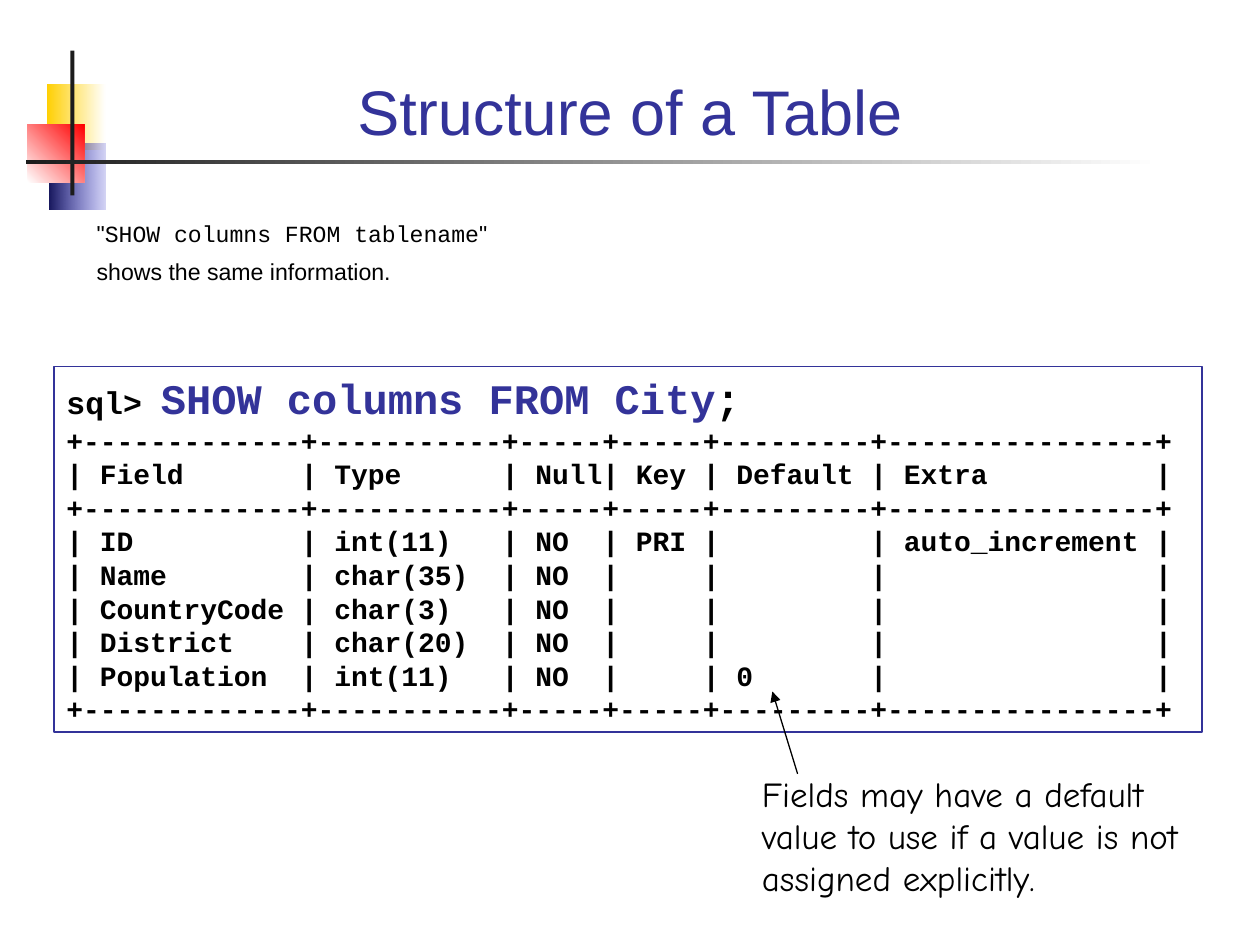
"""Build the slide that explains the structure of a database table."""

from dataclasses import dataclass
from typing import NamedTuple, Optional

from lxml.etree import SubElement
from pptx import Presentation
from pptx.dml.color import RGBColor
from pptx.enum.shapes import MSO_CONNECTOR, MSO_SHAPE
from pptx.enum.text import MSO_ANCHOR, PP_ALIGN
from pptx.oxml.ns import qn
from pptx.util import Cm, Pt


@dataclass(frozen=True)
class Theme:
    indigo: str = "333399"
    black: str = "000000"
    white: str = "FFFFFF"
    charcoal: str = "1C1C1C"
    yellow: str = "FFCF01"
    red: str = "FF0000"
    navy: str = "18185E"
    blue: str = "3333CC"
    sans: str = "Arial"
    mono: str = "Courier New"
    hand: str = "Comic Neue"
    title_size: float = 36
    body_size: float = 13.2
    prompt_size: float = 18
    command_size: float = 24
    table_size: float = 16
    note_size: float = 20
    line_width: float = 0.75


THEME = Theme()


class Box(NamedTuple):
    left: float
    top: float
    width: float
    height: float

    def lengths(self) -> list:
        return [Cm(value) for value in self]


class Span(NamedTuple):
    text: str
    size: float
    font: str
    color: str = THEME.black
    bold: bool = False


class Ornament(NamedTuple):
    box: Box
    start: str
    end: str
    angle: int = 0
    end_opacity: Optional[int] = None


ORNAMENTS = [
    Ornament(Box(0.94, 1.7, 1.19, 1.32), THEME.yellow, THEME.white),
    Ornament(Box(0.99, 2.9, 1.14, 1.32), THEME.navy, THEME.blue, end_opacity=20),
    Ornament(Box(0.56, 2.51, 1.14, 1.17), THEME.white, THEME.red, angle=45),
    Ornament(Box(1.42, 1.02, 0.08, 2.92), THEME.charcoal, THEME.charcoal),
    Ornament(Box(0.53, 3.23, 22.86, 0.08), THEME.charcoal, THEME.white),
]

COLUMN_WIDTHS = [13, 11, 5, 5, 9, 16]
HEADER = ["Field", "Type", "Null", "Key", "Default", "Extra"]
FIELDS = [
    ["ID", "int(11)", "NO", "PRI", "", "auto_increment"],
    ["Name", "char(35)", "NO", "", "", ""],
    ["CountryCode", "char(3)", "NO", "", "", ""],
    ["District", "char(20)", "NO", "", "", ""],
    ["Population", "int(11)", "NO", "", "0", ""],
]


def rgb(color: str) -> RGBColor:
    return RGBColor.from_string(color)


def table_row(cells: list[str]) -> str:
    padded = [f" {cell}".ljust(width) for cell, width in zip(cells, COLUMN_WIDTHS)]
    return f"|{'|'.join(padded)}|"


def console_lines() -> list[str]:
    rule = f"+{'+'.join('-' * width for width in COLUMN_WIDTHS)}+"
    return [rule, table_row(HEADER), rule, *map(table_row, FIELDS), rule]


def draw_ornament(slide, ornament: Ornament) -> None:
    shape = slide.shapes.add_shape(MSO_SHAPE.RECTANGLE, *ornament.box.lengths())
    shape.shadow.inherit = False
    shape.line.fill.background()
    if ornament.start == ornament.end:
        shape.fill.solid()
        shape.fill.fore_color.rgb = rgb(ornament.start)
        return
    shape.fill.gradient()
    shape.fill.gradient_angle = ornament.angle
    for stop, color in zip(shape.fill.gradient_stops, (ornament.start, ornament.end)):
        stop.color.rgb = rgb(color)
    if ornament.end_opacity is not None:
        end_color = list(shape._element.spPr.iter(qn("a:srgbClr")))[-1]
        SubElement(end_color, qn("a:alpha"), val=str(ornament.end_opacity * 1000))


def write_text(shape, lines: list[list[Span]], align=PP_ALIGN.LEFT,
               anchor=MSO_ANCHOR.TOP, gap: float = 0) -> None:
    frame = shape.text_frame
    frame.word_wrap = True
    frame.vertical_anchor = anchor
    for index, spans in enumerate(lines):
        paragraph = frame.add_paragraph() if index else frame.paragraphs[0]
        paragraph.alignment = align
        if index and gap:
            paragraph.space_before = Pt(gap)
        for span in spans:
            run = paragraph.add_run()
            run.text = span.text
            run.font.size = Pt(span.size)
            run.font.name = span.font
            run.font.bold = span.bold
            run.font.color.rgb = rgb(span.color)


def draw_text(slide, box: Box, lines: list[list[Span]], **layout) -> None:
    write_text(slide.shapes.add_textbox(*box.lengths()), lines, **layout)


def draw_console(slide, box: Box) -> None:
    shape = slide.shapes.add_shape(MSO_SHAPE.RECTANGLE, *box.lengths())
    shape.shadow.inherit = False
    shape.fill.background()
    shape.line.color.rgb = rgb(THEME.indigo)
    shape.line.width = Pt(THEME.line_width)
    command = [
        Span("sql> ", THEME.prompt_size, THEME.mono, bold=True),
        Span("SHOW columns FROM City", THEME.command_size, THEME.mono, THEME.indigo, True),
        Span(";", THEME.command_size, THEME.mono, bold=True),
    ]
    output = [[Span(line, THEME.table_size, THEME.mono, bold=True)]
              for line in console_lines()]
    write_text(shape, [command, *output])


def draw_arrow(slide, start: tuple[float, float], end: tuple[float, float]) -> None:
    points = [Cm(value) for value in (*start, *end)]
    connector = slide.shapes.add_connector(MSO_CONNECTOR.STRAIGHT, *points)
    connector.line.color.rgb = rgb(THEME.black)
    connector.line.width = Pt(THEME.line_width)
    SubElement(connector.line._get_or_add_ln(), qn("a:tailEnd"), type="triangle")
    SubElement(connector._element.spPr, qn("a:effectLst"))


def main() -> None:
    presentation = Presentation()
    presentation.slide_width, presentation.slide_height = Cm(25.4), Cm(19.05)
    slide = presentation.slides.add_slide(presentation.slide_layouts[6])
    for ornament in ORNAMENTS:
        draw_ornament(slide, ornament)
    title = Span("Structure of a Table", THEME.title_size, THEME.sans, THEME.indigo)
    draw_text(slide, Box(1.7, 0.71, 22, 2.41), [[title]],
              align=PP_ALIGN.CENTER, anchor=MSO_ANCHOR.BOTTOM)
    quote = Span('"', THEME.body_size, THEME.sans)
    statement = Span("SHOW columns FROM tablename", THEME.body_size, THEME.mono)
    remark = Span("shows the same information.", THEME.body_size, THEME.sans)
    draw_text(slide, Box(1.7, 4.29, 22, 1.52), [[quote, statement, quote], [remark]], gap=6)
    draw_console(slide, Box(1.09, 7.39, 23.14, 7.37))
    note = Span("Fields may have a default value to use if a value is not assigned explicitly.",
                THEME.note_size, THEME.hand)
    draw_text(slide, Box(15.11, 15.44, 9.32, 2.79), [[note]])
    draw_arrow(slide, (16.08, 15.6), (15.57, 13.94))
    presentation.save("out.pptx")


if __name__ == "__main__":
    main()
